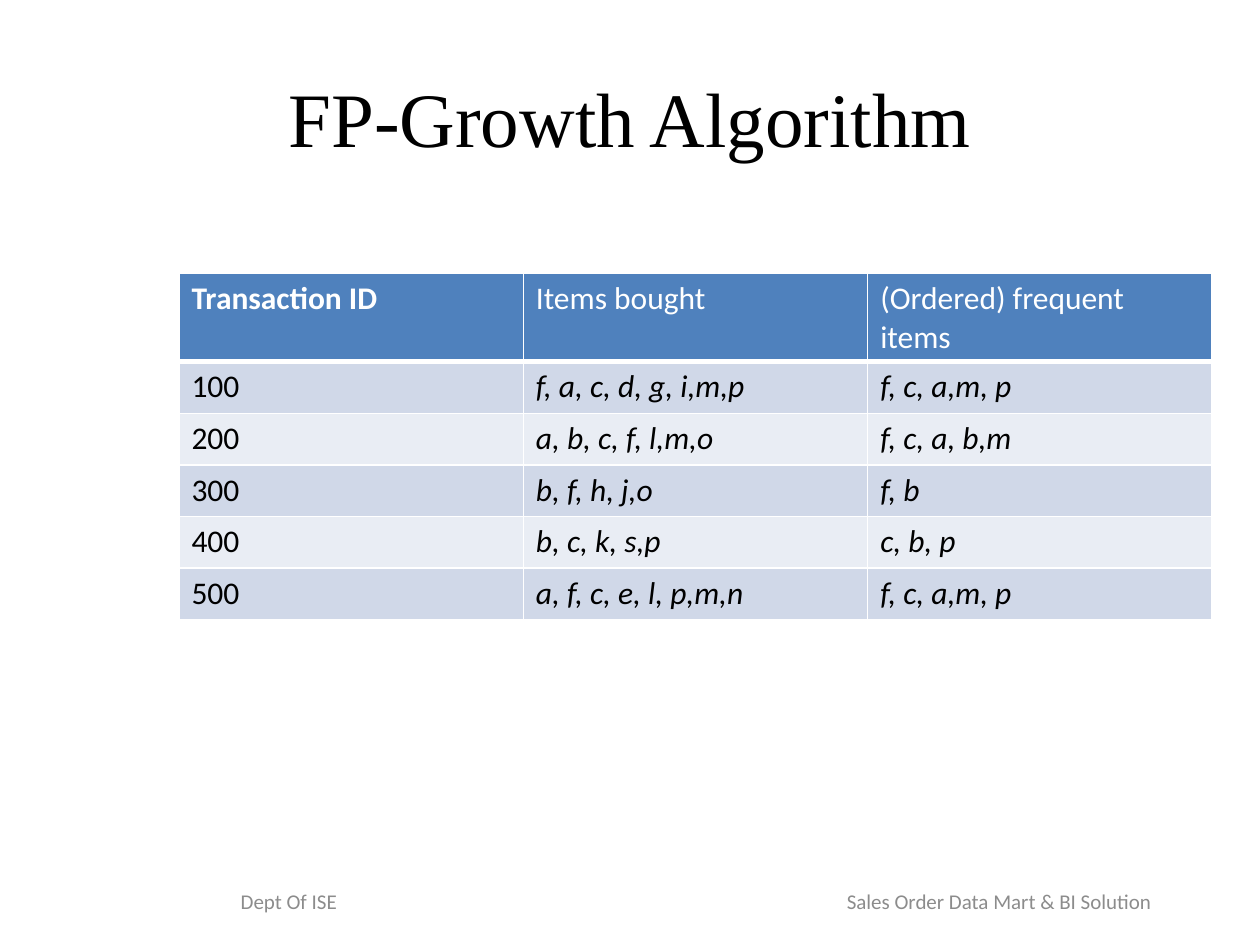
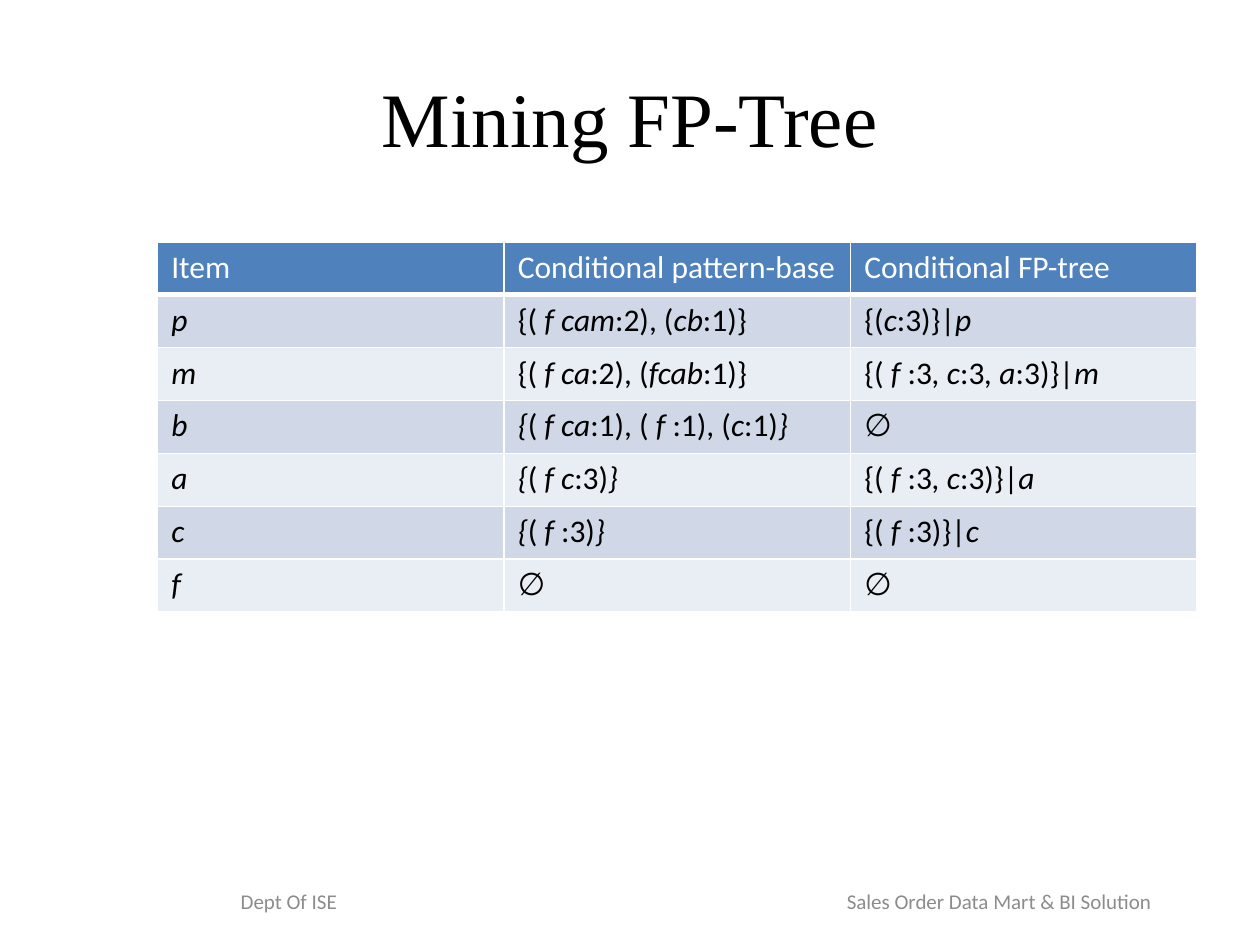
import dataclasses

import lxml.etree
import pptx
import pptx.dml.color
import pptx.enum.text
import pptx.oxml.ns
import pptx.util

Inches = pptx.util.Inches
Pt = pptx.util.Pt
qn = pptx.oxml.ns.qn


@dataclasses.dataclass(frozen=True)
class Theme:
    title_font: str = "Times New Roman"
    body_font: str = "Calibri"
    title_size: int = 44
    table_size: int = 18
    footer_size: int = 12
    ink: str = "000000"
    header_text: str = "FFFFFF"
    header_fill: str = "4F81BD"
    bands: tuple = ("D0D8E8", "E9EDF4")
    rule: str = "FFFFFF"
    thin_rule: int = 1
    header_rule: int = 3
    footer_text: str = "8C8C8C"


theme = Theme()


def add_run(p, text, font, size, color):
    r = p.add_run()
    r.text = text
    r.font.name = font
    r.font.size = Pt(size)
    r.font.color.rgb = pptx.dml.color.RGBColor.from_string(color)
    return r


def add_text_box(s, left, top, width, height):
    tf = s.shapes.add_textbox(Inches(left), Inches(top), Inches(width), Inches(height)).text_frame
    tf.word_wrap = True
    tf.vertical_anchor = pptx.enum.text.MSO_ANCHOR.MIDDLE
    return tf


# Asterisks enclose emphasis: bold in a header row, italic in the rows below.
slides = [
    {
        "title": "FP-Growth Algorithm",
        "left": 1.42, "top": 2.17, "width": 8.2,
        "header_height": 0.7, "row_height": 0.41, "inset": 0.1,
        "rows": [
            ("*Transaction ID*", "Items bought", "(Ordered) frequent items"),
            ("100", "*f, a, c, d, g, i,m,p*", "*f, c, a,m, p*"),
            ("200", "*a, b, c, f, l,m,o*", "*f, c, a, b,m*"),
            ("300", "*b, f, h, j,o*", "*f, b*"),
            ("400", "*b, c, k, s,p*", "*c, b, p*"),
            ("500", "*a, f, c, e, l, p,m,n*", "*f, c, a,m, p*"),
        ],
    },
    {
        "title": "Mining FP-Tree",
        "left": 1.25, "top": 1.92, "width": 8.25,
        "header_height": 0.42, "row_height": 0.42, "inset": 0.11,
        "rows": [
            ("Item", "Conditional pattern-base", "Conditional FP-tree"),
            ("*p*", "{( *f cam*:2), (*cb*:1)}", "{(*c*:3)}|*p*"),
            ("*m*", "{( *f ca*:2), (*fcab*:1)}", "{( *f *:3*, c*:3*, a*:3)}|*m*"),
            ("*b*", "*{*( *f ca*:1), ( *f *:1), (*c*:1)*}*", "∅"),
            ("*a*", "*{*( *f c*:3)*}*", "{( *f *:3*, c*:3)}|*a*"),
            ("*c*", "*{*( *f *:3)*}*", "{( *f *:3)}|*c*"),
            ("*f*", "∅", "∅"),
        ],
    },
]

prs = pptx.Presentation()
prs.slide_width = Inches(10)
prs.slide_height = Inches(7.5)

for content in slides:
    s = prs.slides.add_slide(prs.slide_layouts[6])

    p = add_text_box(s, 0.5, 0.3, 9, 1.25).paragraphs[0]
    p.alignment = pptx.enum.text.PP_ALIGN.CENTER
    add_run(p, content["title"], theme.title_font, theme.title_size, theme.ink)

    rows = content["rows"]
    heights = [content["header_height"]] + [content["row_height"]] * (len(rows) - 1)
    table = s.shapes.add_table(
        len(rows), len(rows[0]), Inches(content["left"]), Inches(content["top"]),
        Inches(content["width"]), Inches(sum(heights)),
    ).table
    for column in table.columns:
        column.width = Inches(content["width"] / len(rows[0]))

    for i, row in enumerate(rows):
        is_header = i == 0
        table.rows[i].height = Inches(heights[i])
        fill = theme.header_fill if is_header else theme.bands[(i - 1) % 2]
        color = theme.header_text if is_header else theme.ink
        rules = dict.fromkeys(("lnL", "lnR", "lnT", "lnB"), theme.thin_rule)
        if is_header:
            rules["lnB"] = theme.header_rule
        elif i == 1:
            rules["lnT"] = theme.header_rule

        for j, text in enumerate(row):
            cell = table.cell(i, j)
            cell.margin_left = Inches(content["inset"])
            tc_pr = cell._tc.get_or_add_tcPr()
            for side, weight in rules.items():
                ln = lxml.etree.SubElement(tc_pr, qn(f"a:{side}"), w=str(Pt(weight)))
                solid = lxml.etree.SubElement(ln, qn("a:solidFill"))
                lxml.etree.SubElement(solid, qn("a:srgbClr"), val=theme.rule)
            cell.fill.solid()
            cell.fill.fore_color.rgb = pptx.dml.color.RGBColor.from_string(fill)

            p = cell.text_frame.paragraphs[0]
            for k, part in enumerate(text.split("*")):
                if part:
                    r = add_run(p, part, theme.body_font, theme.table_size, color)
                    emphasis = k % 2 == 1
                    r.font.bold = emphasis and is_header
                    r.font.italic = emphasis and not is_header

    tf = add_text_box(s, 1.75, 6.95, 7.58, 0.4)
    tf.margin_left = Inches(0.16)
    p = tf.paragraphs[0]
    p.alignment = pptx.enum.text.PP_ALIGN.LEFT
    tabs = lxml.etree.SubElement(p._p.get_or_add_pPr(), qn("a:tabLst"))
    lxml.etree.SubElement(tabs, qn("a:tab"), pos=str(Inches(7.23)), algn="r")
    for text in ("Dept Of ISE", "\tSales Order Data Mart & BI Solution"):
        add_run(p, text, theme.body_font, theme.footer_size, theme.footer_text)

prs.save("out.pptx")
